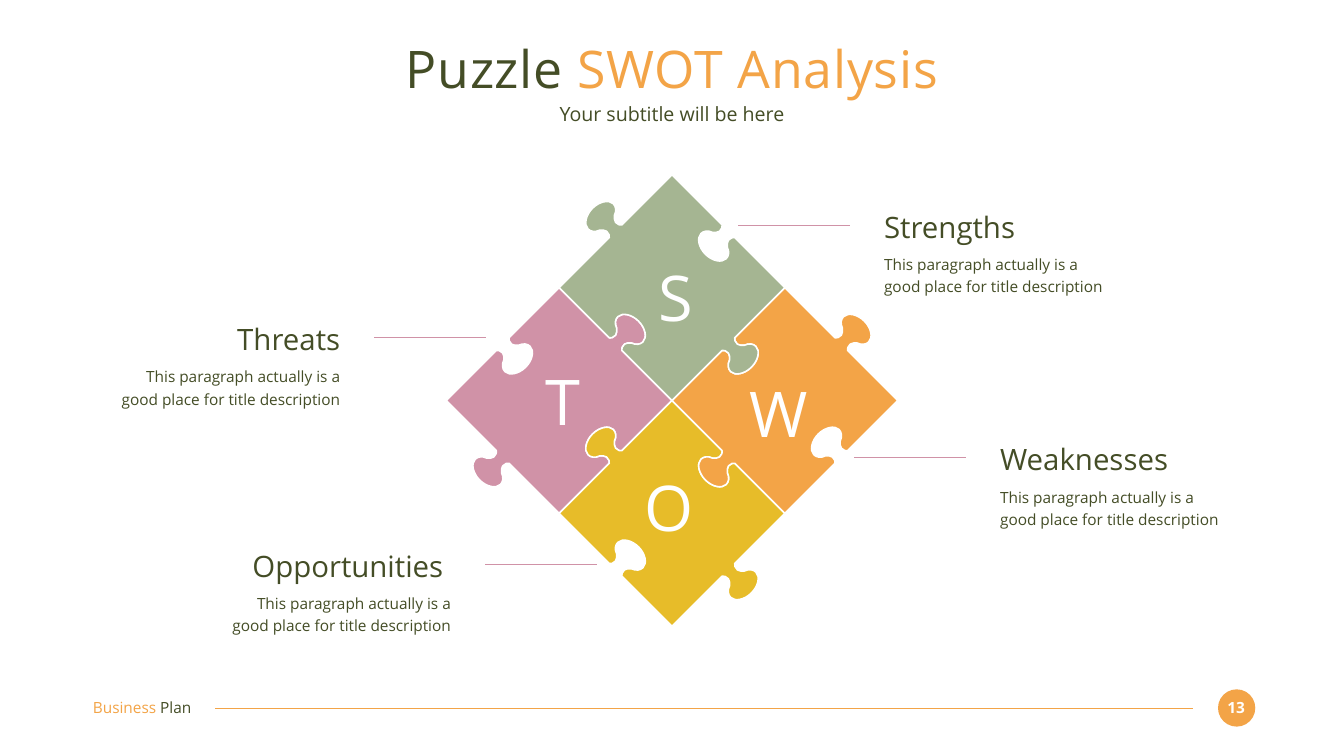
from math import sqrt
from lxml import etree
from pptx import Presentation
from pptx import util as u
from pptx.dml.color import RGBColor
from pptx.enum import shapes, text
from pptx.oxml.ns import qn

PX = 9525
FONT = "Open Sans"
DARK, ORANGE, PINK = "444D26", "F3A447", "D092A7"
GREEN, GOLD, WHITE = "A5B592", "E7BC29", "FFFFFF"
LEFT, MID, RIGHT = text.PP_ALIGN.LEFT, text.PP_ALIGN.CENTER, text.PP_ALIGN.RIGHT
tint = RGBColor.from_string

deck = Presentation()
deck.slide_width, deck.slide_height = 2560 * PX, 1440 * PX
slide = deck.slides.add_slide(deck.slide_layouts[6])
items = slide.shapes


def write(box, runs, size, align=LEFT, bold=False, space=None):
    frame = items.add_textbox(*[n * PX for n in box]).text_frame
    frame.word_wrap = True
    frame.margin_left = frame.margin_right = 0
    frame.margin_top = frame.margin_bottom = 0
    para = frame.paragraphs[0]
    para.alignment = align
    if space:
        para.line_spacing = space
    for words, color in runs:
        run = para.add_run()
        run.text = words
        run.font.name = FONT
        run.font.size = u.Pt(size)
        run.font.bold = bold
        run.font.color.rgb = tint(color)
    return para


def rule(x, y, width, color):
    line = items.add_connector(shapes.MSO_CONNECTOR.STRAIGHT,
                               x * PX, y * PX, (x + width) * PX, y * PX)
    line.line.color.rgb = tint(color)
    line.line.width = u.Pt(1.5)
    etree.SubElement(line._element.spPr, qn("a:effectLst"))


badge = items.add_shape(shapes.MSO_SHAPE.OVAL, 2320 * PX, 1313 * PX, 71 * PX, 71 * PX)
badge.shadow.inherit = False
badge.fill.solid()
badge.fill.fore_color.rgb = tint(ORANGE)
badge.line.fill.background()
write((2326, 1330, 57, 36), [("13", WHITE)], 22, MID, bold=True)
rule(410, 1349, 1862, ORANGE)
write((177, 1329, 249, 36), [("Business ", ORANGE), ("Plan", DARK)], 22)

title = write((176, 70, 2208, 122), [("Puzzle ", DARK), ("SWOT Analysis", ORANGE)], 74, MID)
for run in title.runs:
    run.font._element.set("spc", "100")
write((176, 195, 2208, 47), [("Your subtitle will be here", DARK)], 28, MID)

R = 215
half = [(-17, 0), (-14, 1), (-12, 6), (-12, 12), (-13, 16), (-16, 20), (-20, 23),
        (-29, 26), (-34, 33), (-34, 40), (-34, 52), (-18, 62), (0, 62)]
knob = half + [(-along, out) for along, out in reversed(half[:-1])]

pieces = [
    (-1, 0, PINK, 1),
    (0, 1, GOLD, -1),
    (1, 0, ORANGE, 1),
    (0, -1, GREEN, -1),
]
for col, row, color, first in pieces:
    points = []
    for turn in range(4):
        sign = first * (-1) ** turn
        side = [(R / 2 + (along + sign * out) / sqrt(2),
                 -R / 2 + (along - sign * out) / sqrt(2)) for along, out in knob]
        side = side[:1] * 3 + side[1:] + [(R, 0)] * 3
        for _ in range(turn):
            side = [(-y, x) for x, y in side]
        points += side
    midx, midy = 1280 + col * R, 763 + row * R
    path = [(round((midx + x) * PX), round((midy + y) * PX)) for x, y in points]
    pen = items.build_freeform(midx * PX, (midy - R) * PX)
    pen.add_line_segments(path, close=True)
    piece = pen.convert_to_shape()
    steps = list(piece._element.iter(qn("a:lnTo")))
    for one, two, three in zip(steps[::3], steps[1::3], steps[2::3]):
        curve = etree.Element(qn("a:cubicBezTo"))
        one.addprevious(curve)
        for step in (one, two, three):
            curve.append(step[0])
            step.getparent().remove(step)
    piece.shadow.inherit = False
    piece.fill.solid()
    piece.fill.fore_color.rgb = tint(color)
    piece.line.color.rgb = tint(WHITE)
    piece.line.width = u.Pt(2.25)

notes = [
    ("Threats", 212, 612, RIGHT),
    ("Opportunities ", 423, 1044, RIGHT),
    ("Strengths", 1684, 398, LEFT),
    ("Weaknesses", 1905, 841, LEFT),
]
WIDE, GAP, LONG = 436, 65, 213
for name, x, y, align in notes:
    write((x, y, WIDE, 68), [(name, DARK)], 42, align)
    write((x, y + 81, WIDE, 85),
          [("This paragraph actually is a good place for title description", DARK)],
          22, align, space=1.2)
    start = x + WIDE + GAP if align == RIGHT else x - GAP - LONG
    rule(start, y + 31, LONG, PINK)

for sign, x, y in [("W", 1382, 714), ("S", 1186, 493), ("T", 972, 690), ("O", 1173, 893)]:
    write((x, y, 202, 145), [(sign, WHITE)], 90, MID)

deck.save("out.pptx")
